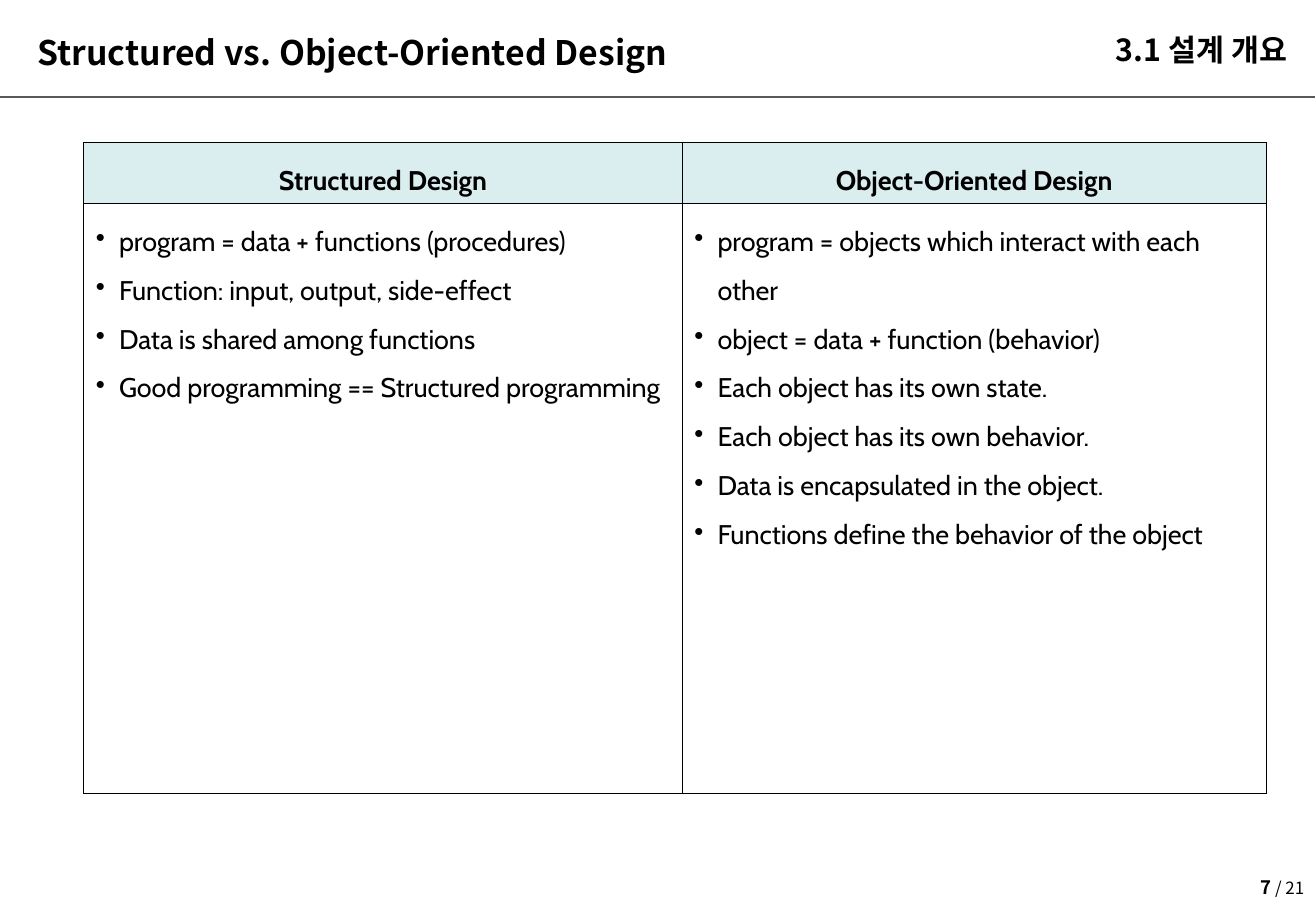
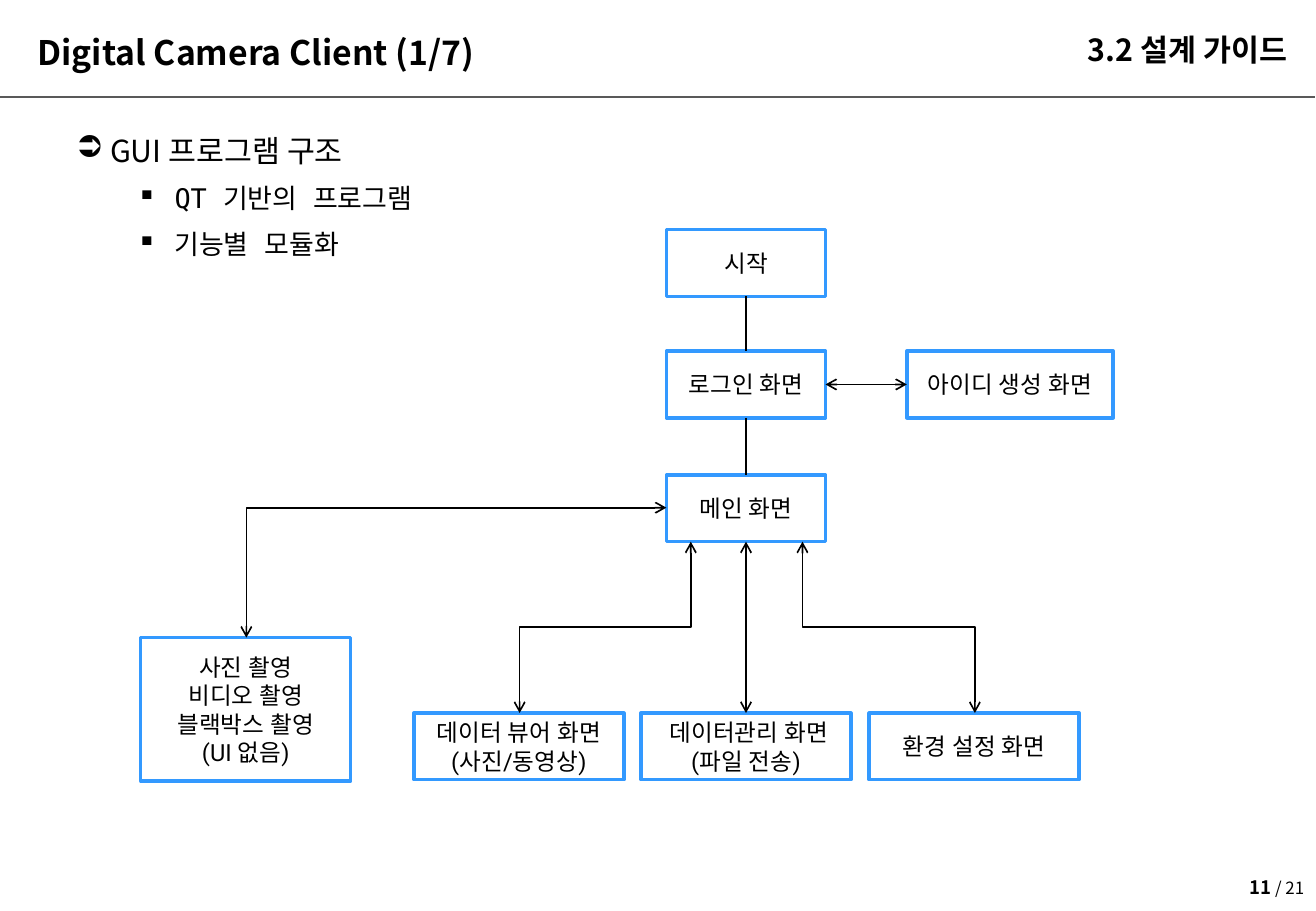
import pptx
import pptx.util
import pptx.dml.color
import pptx.enum.shapes
import pptx.enum.text
import pptx.oxml
import pptx.oxml.ns

PX = 9144  # 100 px to the inch
COLORS = {"ink": "000000", "rule": "595959", "outline": "3399FF",
          "header": "DAEDEF", "paper": "FFFFFF"}
RGB = {name: pptx.dml.color.RGBColor.from_string(code) for name, code in COLORS.items()}
SANS, MONO, TABLE, LABEL = "Noto Sans CJK KR", "DejaVu Sans Mono", "Cabin", "Roboto"
ALIGN = pptx.enum.text.PP_ALIGN
ANCHOR = pptx.enum.text.MSO_ANCHOR
LINE = pptx.enum.shapes.MSO_CONNECTOR
qn = pptx.oxml.ns.qn


def write(frame, lines, font, size, bold=False, bullet=None, indent=(0, 0), **paragraph):
    """Add lines to a text frame; a line is text or a list of (text, font format)."""
    frame.word_wrap = True
    for line in lines:
        first = frame.paragraphs[0]
        para = frame.add_paragraph() if first.runs else first
        for name, value in paragraph.items():
            setattr(para, name, value)
        if bullet:
            props = para._p.get_or_add_pPr()
            props.set("marL", str(indent[0] * PX))
            props.set("indent", str(indent[1] * PX))
            props.append(pptx.oxml.parse_xml(
                f'<a:buChar {pptx.oxml.ns.nsdecls("a")} char="{bullet}"/>'))
        for text, changes in [(line, {})] if isinstance(line, str) else line:
            span = para.add_run()
            span.text = text
            style = {"name": font, "size": pptx.util.Pt(size), "bold": bold, **changes}
            for name, value in style.items():
                setattr(span.font, name, value)
            span.font.color.rgb = RGB["ink"]
            east = span.font._element.makeelement(qn("a:ea"), {"typeface": font})
            span.font._element.find(qn("a:latin")).addnext(east)


def connect(page, kind, start, end, color="ink", width=1, arrows=False):
    """Add a connector between two points, with open arrows at both ends if asked."""
    link = page.shapes.add_connector(kind, *(round(v * PX) for v in (*start, *end)))
    link.line.color.rgb = RGB[color]
    link.line.width = pptx.util.Pt(width)
    props = link._element.spPr
    outline = props.find(qn("a:ln"))
    for tag in ("a:headEnd", "a:tailEnd") if arrows else ():
        outline.append(outline.makeelement(qn(tag), {"type": "arrow"}))
    props.append(props.makeelement(qn("a:effectLst"), {}))
    return link


deck = pptx.Presentation()
deck.slide_width, deck.slide_height = 1084 * PX, 750 * PX

# Shared frame: rule, page number, title, section
pages = []
for number, title, section in [
    ("7", "Structured vs. Object-Oriented Design", "3.1 설계 개요"),
    ("11", "Digital Camera Client (1/7)", "3.2 설계 가이드"),
]:
    page = deck.slides.add_slide(deck.slide_layouts[6])
    pages.append(page)
    connect(page, LINE.STRAIGHT, (0, 80), (1083, 80), "rule", 1.5)
    total = (" / 21", {"size": pptx.util.Pt(10), "bold": False})
    for place, line, size, align, anchor in [
        ((1012, 710, 72, 40), [(number, {}), total], 11, ALIGN.RIGHT, ANCHOR.MIDDLE),
        ((21, 21, 638, 53), title, 20, ALIGN.LEFT, ANCHOR.TOP),
        ((723, 21, 347, 53), section, 18, ALIGN.RIGHT, ANCHOR.TOP),
    ]:
        box = page.shapes.add_textbox(*(v * PX for v in place))
        box.text_frame.vertical_anchor = anchor
        write(box.text_frame, [line], SANS, size, True, alignment=align)
compare_page, camera_page = pages

# Slide 1: comparison table
columns = [
    ("Structured Design", 493, [
        "program = data + functions (procedures)",
        "Function: input, output, side-effect",
        "Data is shared among functions",
        "Good programming == Structured programming"]),
    ("Object-Oriented Design", 481, [
        "program = objects which interact with each other",
        "object = data + function (behavior)",
        "Each object has its own state.",
        "Each object has its own behavior.",
        "Data is encapsulated in the object.",
        "Functions define the behavior of the object"]),
]
table = compare_page.shapes.add_table(2, 2, 69 * PX, 117 * PX, 974 * PX, 536 * PX).table
table.first_row = table.horz_banding = False
table.rows[0].height, table.rows[1].height = 50 * PX, 486 * PX
for index, (heading, width, points) in enumerate(columns):
    table.columns[index].width = width * PX
    head, body = table.cell(0, index), table.cell(1, index)
    for cell in (head, body):
        props = cell._tc.get_or_add_tcPr()
        for side in ("lnL", "lnR", "lnT", "lnB"):
            props.append(pptx.oxml.parse_xml(
                f'<a:{side} {pptx.oxml.ns.nsdecls("a")} w="5715"><a:solidFill>'
                f'<a:srgbClr val="{COLORS["ink"]}"/></a:solidFill></a:{side}>'))
        cell.margin_left = cell.margin_right = 10 * PX
        cell.margin_top = cell.margin_bottom = 5 * PX
    head.fill.solid()
    head.fill.fore_color.rgb = RGB["header"]
    head.vertical_anchor = ANCHOR.MIDDLE
    body.fill.background()
    write(head.text_frame, [heading], TABLE, 16, True,
          alignment=ALIGN.CENTER, line_spacing=1.5)
    write(body.text_frame, points, TABLE, 16, bullet="•", indent=(19, -19),
          line_spacing=1.5)

# Slide 2: outline
box = camera_page.shapes.add_textbox(53 * PX, 94 * PX, 1033 * PX, 583 * PX)
box.text_frame.margin_top = 0
write(box.text_frame, [" GUI 프로그램 구조"], SANS, 18, bullet="➲", indent=(18, -18),
      line_spacing=1.5)
write(box.text_frame, ["QT 기반의 프로그램", "기능별 모듈화"], MONO, 16, bullet="▪",
      indent=(81, -31), level=1, line_spacing=1.2, space_before=pptx.util.Pt(4))

# Slide 2: screens
screens = {}
for name, place, lines in [
    ("start", (549, 189, 131, 55), ["시작"]),
    ("login", (549, 289, 131, 55), ["로그인 화면"]),
    ("sign up", (747, 289, 170, 55), ["아이디 생성 화면"]),
    ("main", (549, 391, 131, 55), ["메인 화면"]),
    ("capture", (116, 525, 173, 118),
     ["사진 촬영", "비디오 촬영", "블랙박스 촬영", "(UI 없음)"]),
    ("viewer", (341, 587, 173, 55), ["데이터 뷰어 화면", "(사진/동영상)"]),
    ("data", (528, 587, 173, 55), [" 데이터관리 화면", "(파일 전송)"]),
    ("settings", (716, 587, 173, 55), ["환경 설정 화면"]),
]:
    box = camera_page.shapes.add_shape(
        pptx.enum.shapes.MSO_SHAPE.RECTANGLE, *(v * PX for v in place))
    box.shadow.inherit = False
    box.fill.solid()
    box.fill.fore_color.rgb = RGB["paper"]
    box.line.color.rgb = RGB["outline"]
    box.line.width = pptx.util.Pt(2)
    box.text_frame.vertical_anchor = ANCHOR.MIDDLE
    write(box.text_frame, lines, LABEL, 14, alignment=ALIGN.CENTER)
    screens[name] = box

# Slide 2: straight links, joined at side middles
for source, source_side, target, target_side, arrows in [
    ("start", 2, "login", 0, False),
    ("login", 2, "main", 0, False),
    ("login", 3, "sign up", 1, True),
    ("main", 2, "data", 0, True),
]:
    link = connect(camera_page, LINE.STRAIGHT, (0, 0), (0, 0), arrows=arrows)
    link.begin_connect(screens[source], source_side)
    link.end_connect(screens[target], target_side)

# Slide 2: one-corner link from the main screen to capture
link = connect(camera_page, LINE.ELBOW, (549, 418), (203, 525), arrows=True)
link._element.spPr.find(qn("a:prstGeom")).set("prst", "bentConnector2")

# Slide 2: links that leave downwards, as quarter-turned elbows
for (left, top), (right, bottom), turn in [
    ((569, 446), (428, 587), {"rot": "5400000"}),
    ((661, 446), (803, 587), {"rot": "16200000", "flipH": "1"}),
]:
    middle_x, middle_y = (left + right) / 2, (top + bottom) / 2
    half_w, half_h = (bottom - top) / 2, abs(right - left) / 2
    link = connect(camera_page, LINE.ELBOW, (middle_x - half_w, middle_y - half_h),
                   (middle_x + half_w, middle_y + half_h), arrows=True)
    for name, value in turn.items():
        link._element.spPr.find(qn("a:xfrm")).set(name, value)

deck.save("out.pptx")
